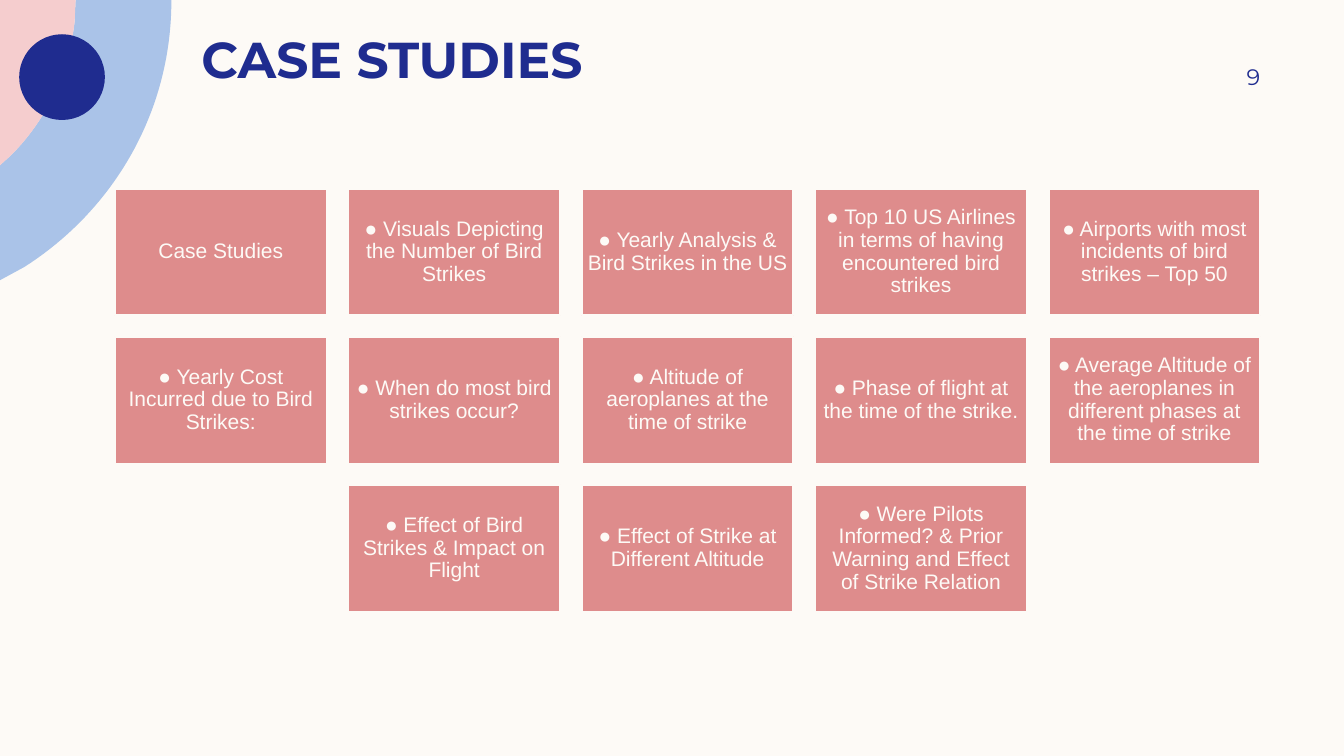
from dataclasses import dataclass

from pptx import Presentation
from pptx.dml.color import RGBColor
from pptx.enum.shapes import MSO_SHAPE
from pptx.enum.text import MSO_ANCHOR, PP_ALIGN
from pptx.util import Inches, Pt

RECT, OVAL = MSO_SHAPE.RECTANGLE, MSO_SHAPE.OVAL
MIDDLE, BOTTOM = MSO_ANCHOR.MIDDLE, MSO_ANCHOR.BOTTOM
LEFT, CENTER, RIGHT = PP_ALIGN.LEFT, PP_ALIGN.CENTER, PP_ALIGN.RIGHT

CREAM = RGBColor(0xFD, 0xFA, 0xF6)
NAVY = RGBColor(0x1F, 0x2C, 0x8F)
BLUE = RGBColor(0xAA, 0xC3, 0xE8)
PINK = RGBColor(0xF5, 0xCD, 0xCE)
ROSE = RGBColor(0xDE, 0x8C, 0x8C)

Point = tuple[float, float]


@dataclass
class TextStyle:
    font: str
    size: float
    color: RGBColor
    align: PP_ALIGN
    anchor: MSO_ANCHOR
    margins: tuple[float, float, float, float]
    bold: bool = False
    line_spacing: float = 1.0
    space_after: float = 0


TITLE = TextStyle("Montserrat", 36, NAVY, LEFT, BOTTOM, (0.1, 0, 0.1, 0), bold=True)
NUMBER = TextStyle("Montserrat", 16, NAVY, RIGHT, MIDDLE, (0.1, 0.05, 0, 0.05), space_after=6)
CARD = TextStyle("Arial", 15, CREAM, CENTER, MIDDLE, (0.06,) * 4,
                 line_spacing=0.9, space_after=5.25)

COLUMNS = 5
CARD_W, CARD_H = 2.1, 1.26
GRID_LEFT, GRID_RIGHT, GRID_TOP = 1.14, 12.5, 1.87
PITCH_X = (GRID_RIGHT - CARD_W - GRID_LEFT) / (COLUMNS - 1)
PITCH_Y = 1.47
TOPICS = [
    "Case Studies",
    "● Visuals Depicting the Number of Bird Strikes",
    "● Yearly Analysis & Bird Strikes in the US",
    "● Top 10 US Airlines in terms of having encountered bird strikes",
    "● Airports with most incidents of bird strikes – Top 50",
    "● Yearly Cost Incurred due to Bird Strikes:",
    "● When do most bird strikes occur?",
    "● Altitude of aeroplanes at the time of strike",
    "● Phase of flight at the time of the strike.",
    "● Average Altitude of the aeroplanes in different phases at the time of strike",
    "● Effect of Bird Strikes & Impact on Flight",
    "● Effect of Strike at Different Altitude",
    "● Were Pilots Informed? & Prior Warning and Effect of Strike Relation",
]


def bezier(a: Point, b: Point, c: Point, d: Point, steps: int = 40) -> list[Point]:
    points = []
    for i in range(steps + 1):
        t = i / steps
        u = 1 - t
        weights = (u ** 3, 3 * u * u * t, 3 * u * t * t, t ** 3)
        points.append((sum(w * q[0] for w, q in zip(weights, (a, b, c, d))),
                       sum(w * q[1] for w, q in zip(weights, (a, b, c, d)))))
    return points


def paint(sp, fill: RGBColor) -> None:
    sp.shadow.inherit = False
    sp.fill.solid()
    sp.fill.fore_color.rgb = fill
    sp.line.fill.background()


def add_outline(s, points: list[Point], fill: RGBColor) -> None:
    emu = [(Inches(x), Inches(y)) for x, y in points]
    builder = s.shapes.build_freeform(*emu[0])
    builder.add_line_segments(emu[1:], close=True)
    paint(builder.convert_to_shape(), fill)


def add_shape(s, kind: MSO_SHAPE, x: float, y: float, w: float, h: float, fill: RGBColor):
    sp = s.shapes.add_shape(kind, Inches(x), Inches(y), Inches(w), Inches(h))
    paint(sp, fill)
    return sp


def write(sp, text: str, style: TextStyle) -> None:
    tf = sp.text_frame
    tf.word_wrap = True
    tf.vertical_anchor = style.anchor
    tf.margin_left, tf.margin_top, tf.margin_right, tf.margin_bottom = map(Inches, style.margins)
    p = tf.paragraphs[0]
    p.alignment = style.align
    p.line_spacing = style.line_spacing
    p.space_after = Pt(style.space_after)
    r = p.add_run()
    r.text = text
    r.font.name = style.font
    r.font.size = Pt(style.size)
    r.font.bold = style.bold
    r.font.color.rgb = style.color


def add_text(s, x: float, y: float, w: float, h: float, text: str, style: TextStyle) -> None:
    write(s.shapes.add_textbox(Inches(x), Inches(y), Inches(w), Inches(h)), text, style)


def add_corner(s) -> None:
    inner = [(0.75, 0), *bezier((0.74, 0.22), (0.68, 0.73), (0.46, 1.19), (0.11, 1.54)), (0, 1.64)]
    outer = [(1.7, 0), *bezier((1.7, 0.01), (1.7, 1.12), (1.12, 2.09), (0.24, 2.65)), (0, 2.78)]
    add_outline(s, outer + inner[::-1], BLUE)
    add_outline(s, [(0, 0), *inner], PINK)
    add_shape(s, OVAL, 0.19, 0.34, 0.85, 0.85, NAVY)


def add_cards(s) -> None:
    for i, topic in enumerate(TOPICS):
        row, column = divmod(i, COLUMNS)
        in_row = min(COLUMNS, len(TOPICS) - row * COLUMNS)
        x = GRID_LEFT + (column + (COLUMNS - in_row) / 2) * PITCH_X
        sp = add_shape(s, RECT, x, GRID_TOP + row * PITCH_Y, CARD_W, CARD_H, ROSE)
        sp.line.color.rgb = CREAM
        sp.line.width = Pt(1.5)
        write(sp, topic, CARD)


def main() -> None:
    prs = Presentation()
    prs.slide_width, prs.slide_height = Inches(13.33), Inches(7.5)
    s = prs.slides.add_slide(prs.slide_layouts[6])
    s.background.fill.solid()
    s.background.fill.fore_color.rgb = CREAM
    add_corner(s)
    add_text(s, 1.9, 0.2, 10.8, 0.68, "CASE STUDIES", TITLE)
    add_text(s, 11.33, 0.5, 1.17, 0.52, "9", NUMBER)
    add_cards(s)
    prs.save("out.pptx")


if __name__ == "__main__":
    main()
